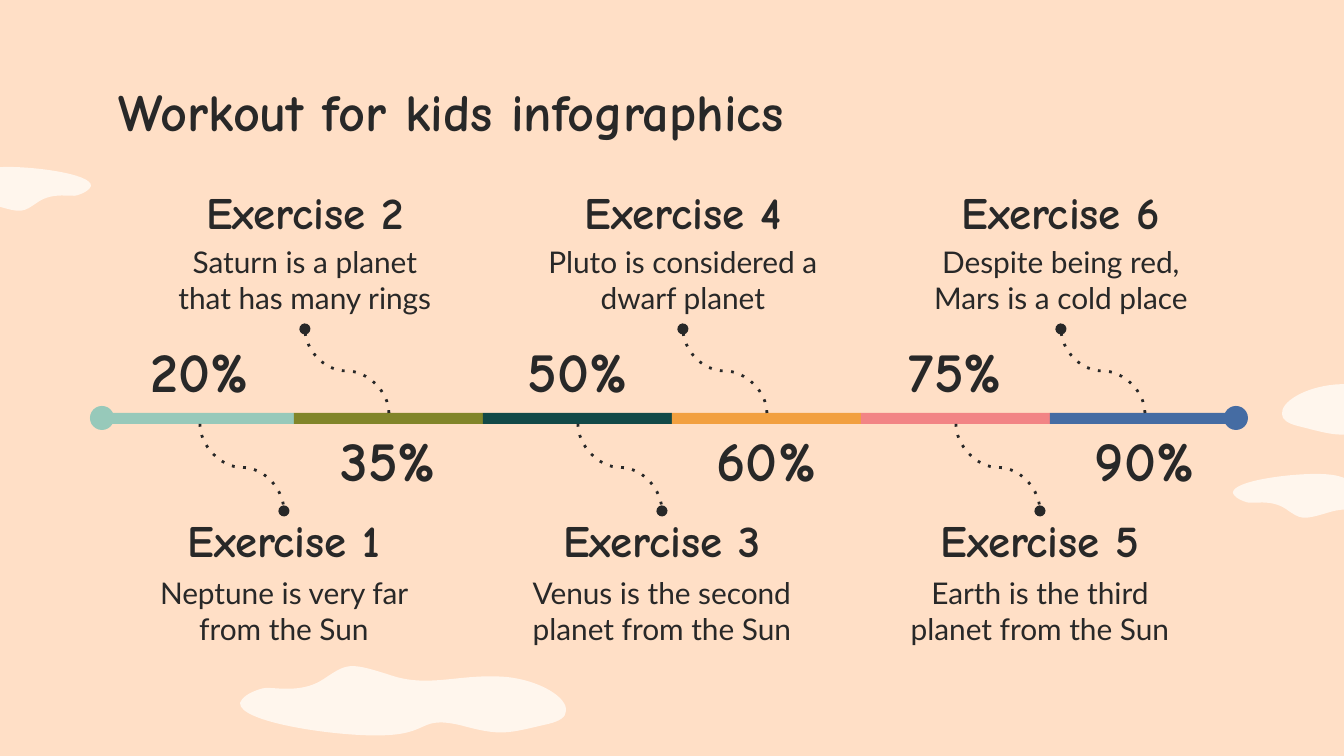
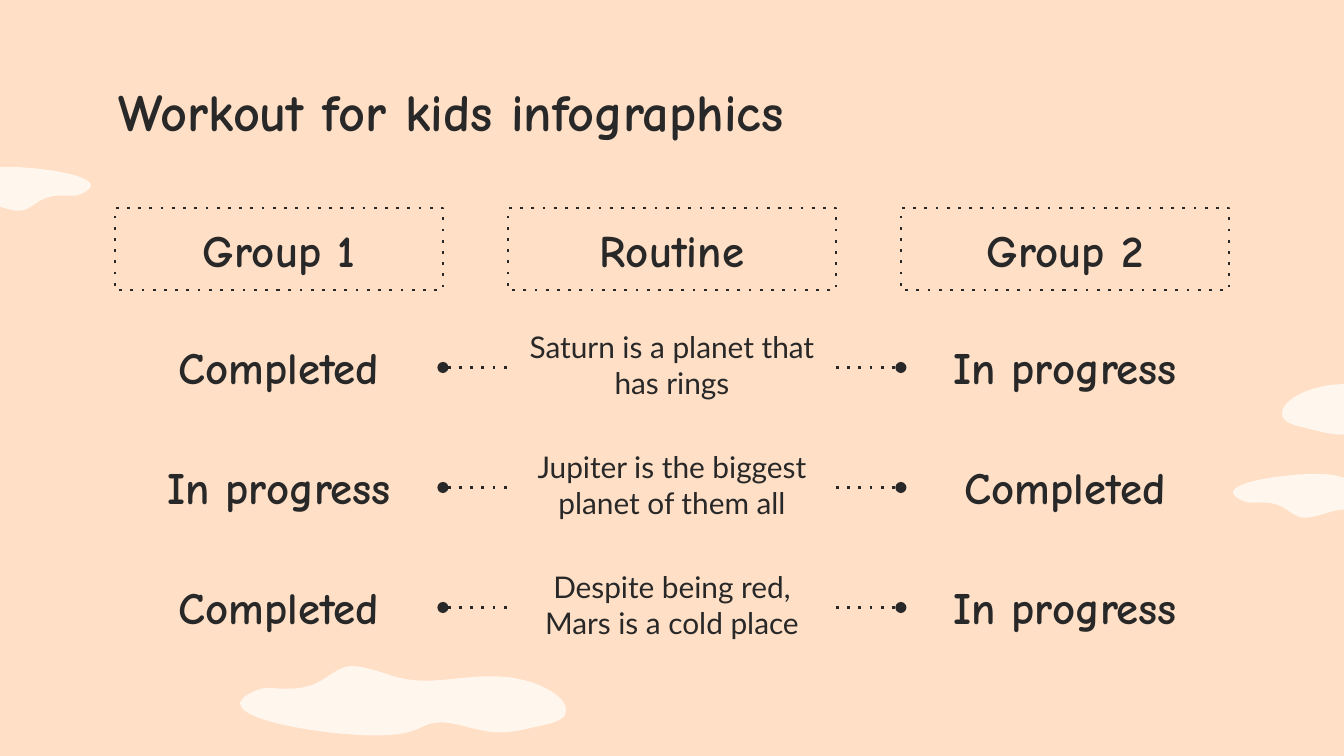
import lxml.etree
import pptx
import pptx.dml.color
import pptx.enum.shapes
import pptx.enum.text
import pptx.oxml.ns
import pptx.util

SCALE = 914400 / 134.4
SHAPES = pptx.enum.shapes.MSO_SHAPE
CONNECTORS = pptx.enum.shapes.MSO_CONNECTOR
ANCHORS = pptx.enum.text.MSO_ANCHOR
ALIGNMENTS = pptx.enum.text.PP_ALIGN

PEACH = "FFDFC6"
CREAM = "FFF6ED"
INK = "282828"
HEADING_FONT = "Comic Neue"
BODY_FONT = "Lato"
TITLE = "Workout for kids infographics"

CLOUD_WIDTH = 219
CLOUD_CURVES = [
    ((-1, -9), (17, -20), (40, -22)),
    ((72, -24), (92, -13), (119, -22)),
    ((146, -30), (147, -29), (163, -18)),
    ((179, -7), (199, -13), (204, -11)),
    ((214, -8), (218, -4), (219, -1)),
    ((220, 12), (156, 20), (126, 19)),
    ((90, 18), (100, 5), (71, 11)),
    ((43, 18), (40, 16), (12, 9)),
    ((4, 7), (0, 4), (0, 0)),
]
CLOUDS = [
    (1282, 414, 294, 1, 0),
    (1440, 492, -207, -1, 0),
    (-116, 185, 207, -1, 0),
    (566, 711, -326, 1, -0.02),
]

EXERCISES = [
    ("Exercise 1", "20%", "Neptune is very far from the Sun", "97C9BA"),
    ("Exercise 2", "35%", "Saturn is a planet that has many rings", "818529"),
    ("Exercise 3", "50%", "Venus is the second planet from the Sun", "124947"),
    ("Exercise 4", "60%", "Pluto is considered a dwarf planet", "F2A040"),
    ("Exercise 5", "75%", "Earth is the third planet from the Sun", "F28485"),
    ("Exercise 6", "90%", "Despite being red, Mars is a cold place", "456CA3"),
]

GROUPS = ["Group 1", "Routine", "Group 2"]
ROUTINES = [
    ("Completed", "Saturn is a planet that has rings", "In progress"),
    ("In progress", "Jupiter is the biggest planet of them all", "Completed"),
    ("Completed", "Despite being red, Mars is a cold place", "In progress"),
]

INSET = pptx.util.Inches(0.1)
HEADING = {"size": 24, "anchor": ANCHORS.BOTTOM, "align": ALIGNMENTS.CENTER}
BODY = {"size": 16, "font": BODY_FONT, "bold": False, "align": ALIGNMENTS.CENTER}
STATUS = {**HEADING, "bottom": 2 * INSET}


def px(length):
    return pptx.util.Emu(round(length * SCALE))


def color(value):
    return pptx.dml.color.RGBColor.from_string(value)


def write_text(shape, text, size=24, font=HEADING_FONT, bold=True,
               align=ALIGNMENTS.LEFT, anchor=ANCHORS.TOP, top=INSET, bottom=INSET):
    frame = shape.text_frame
    frame.word_wrap = True
    frame.vertical_anchor = anchor
    frame.margin_left = frame.margin_right = INSET
    frame.margin_top, frame.margin_bottom = top, bottom
    para = frame.paragraphs[0]
    para.alignment = align
    span = para.add_run()
    span.text = text
    span.font.size = pptx.util.Pt(size)
    span.font.name = font
    span.font.bold = bold
    span.font.color.rgb = color(INK)


def add_text(page, place, text, **text_format):
    box = page.shapes.add_textbox(*map(px, place))
    write_text(box, text, **text_format)
    return box


def paint(shape, fill):
    shape.shadow.inherit = False
    shape.fill.solid()
    shape.fill.fore_color.rgb = color(fill)
    shape.line.fill.background()


def add_filled(page, kind, place, fill):
    paint(page.shapes.add_shape(kind, *map(px, place)), fill)


def dot_line(shape):
    shape.line.color.rgb = color(INK)
    shape.line.width = pptx.util.Pt(1.5)
    outline = shape.element.spPr.get_or_add_ln()
    lxml.etree.SubElement(outline, pptx.oxml.ns.qn("a:prstDash"), val="dot")
    return outline


def add_dotted_connector(page, kind, start, end, oval_end):
    connector = page.shapes.add_connector(kind, *map(px, start + end))
    outline = dot_line(connector)
    lxml.etree.SubElement(outline, pptx.oxml.ns.qn("a:" + oval_end), type="oval")
    lxml.etree.SubElement(connector.element.spPr, pptx.oxml.ns.qn("a:effectLst"))
    return connector


def add_vertical_curve(page, left, top, width, height, rotation):
    middle_x, middle_y = left + width / 2, top + height / 2
    curve = add_dotted_connector(
        page, CONNECTORS.CURVE,
        (middle_x + height / 2, middle_y - width / 2),
        (middle_x - height / 2, middle_y + width / 2), "tailEnd")
    curve.element.spPr.find(pptx.oxml.ns.qn("a:xfrm")).set("rot", str(rotation * 60000))


def join_boxes(page, left_box, right_box, oval_end):
    connector = add_dotted_connector(page, CONNECTORS.ELBOW, (0, 0), (0, 0), oval_end)
    connector.begin_connect(left_box, 3)
    connector.end_connect(right_box, 1)


def bend_lines(shape):
    lines = list(shape.element.iter(pptx.oxml.ns.qn("a:lnTo")))
    for first, second, end in zip(lines[::3], lines[1::3], lines[2::3]):
        curve = lxml.etree.Element(pptx.oxml.ns.qn("a:cubicBezTo"))
        first.addprevious(curve)
        for line in (first, second, end):
            curve.append(line[0])
            line.getparent().remove(line)


def add_cloud(page, left, top, width, upright, tilt):
    stretch = width / CLOUD_WIDTH
    outline = [(px(left + x * stretch), px(top + (upright * y + tilt * x) * abs(stretch)))
               for curve in CLOUD_CURVES for x, y in curve]
    builder = page.shapes.build_freeform(px(left), px(top), scale=1.0)
    builder.add_line_segments(outline, close=True)
    cloud = builder.convert_to_shape()
    bend_lines(cloud)
    paint(cloud, CREAM)


def add_page(deck):
    page = deck.slides.add_slide(deck.slide_layouts[6])
    page.background.fill.solid()
    page.background.fill.fore_color.rgb = color(PEACH)
    for cloud in CLOUDS:
        add_cloud(page, *cloud)
    add_text(page, (105, 66, 1134, 84), TITLE, size=28)
    return page


def add_exercise(page, index, name, percent, description, fill):
    left, width = 105 + 189 * index, 189
    middle = left + 95
    below = index % 2 == 0
    text_left = left + 30 if below else left - 138
    heading_top, body_top, percent_top = (511, 575, 348) if below else (182, 244, 437)
    add_filled(page, SHAPES.RECTANGLE, (left, 413, width, 11), fill)
    add_text(page, (text_left, heading_top, 298, 56), name, bottom=0, **HEADING)
    add_text(page, (text_left, body_top, 298, 84), description, top=0, **BODY)
    add_text(page, (left, percent_top, width, 56), percent,
             top=INSET if below else 0, bottom=0, **{**HEADING, "size": 30})
    if below:
        add_vertical_curve(page, middle, 424, 84, 87, 270)
    else:
        add_vertical_curve(page, middle - 84, 329, 84, 84, 90)


def build_timeline(deck):
    page = add_page(deck)
    for index, exercise in enumerate(EXERCISES):
        add_exercise(page, index, *exercise)
    for left, exercise in ((90, EXERCISES[0]), (1224, EXERCISES[-1])):
        add_filled(page, SHAPES.OVAL, (left, 406, 24, 24), exercise[-1])


def build_groups(deck):
    page = add_page(deck)
    columns = [115 + 393 * index for index in range(3)]
    for left, name in zip(columns, GROUPS):
        header = page.shapes.add_shape(SHAPES.RECTANGLE, *map(px, (left, 208, 328, 82)))
        header.shadow.inherit = False
        header.fill.background()
        dot_line(header)
        write_text(header, name, **HEADING)
    for row, texts in enumerate(ROUTINES):
        first, routine, second = [
            add_text(page, (left, 315 + 120 * row, 328, 105), text, **text_format)
            for left, text, text_format in zip(columns, texts, (STATUS, BODY, STATUS))]
        join_boxes(page, first, routine, "headEnd")
        join_boxes(page, routine, second, "tailEnd")


def main():
    deck = pptx.Presentation()
    deck.slide_width, deck.slide_height = px(1344), px(756)
    build_timeline(deck)
    build_groups(deck)
    deck.save("out.pptx")


if __name__ == "__main__":
    main()
